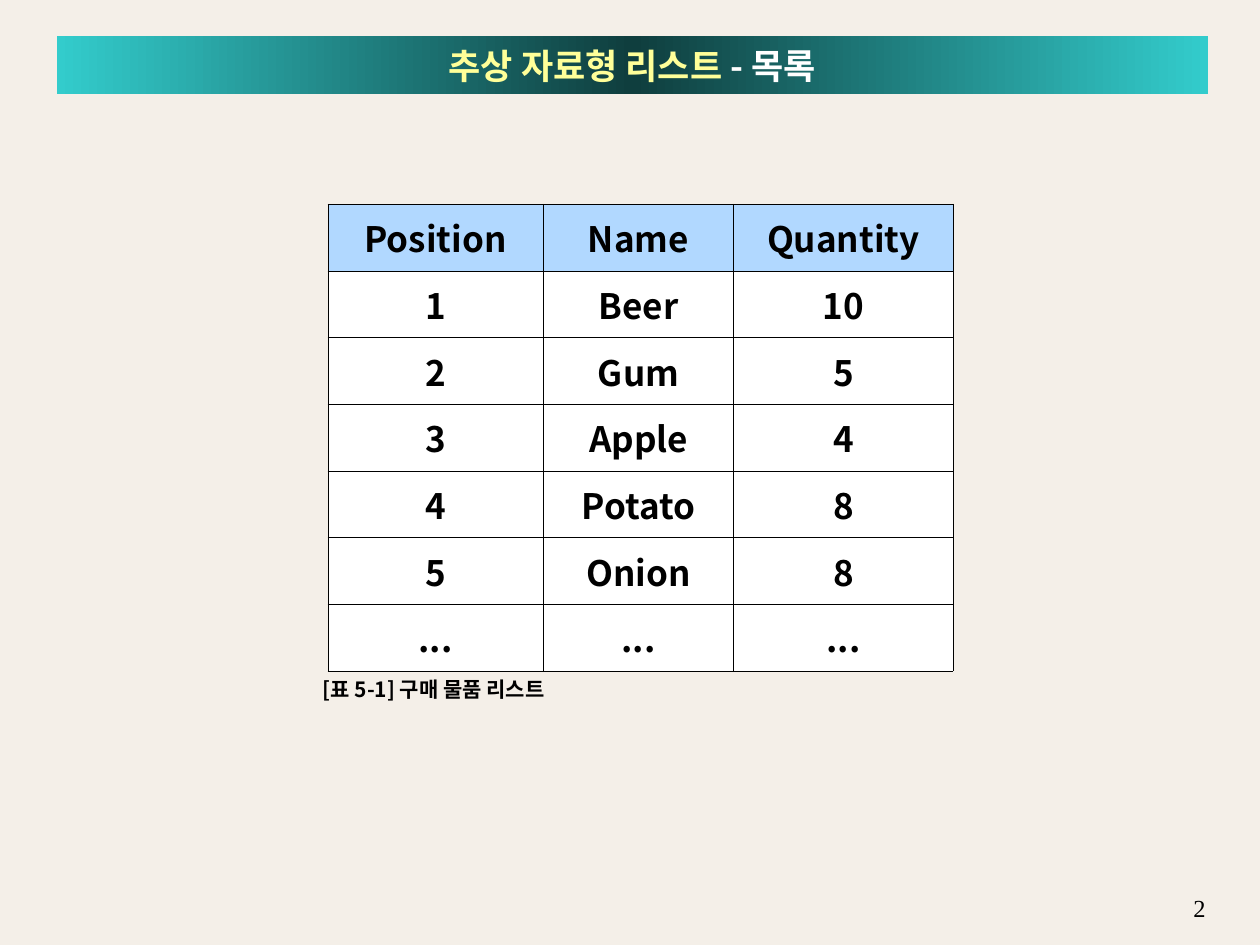
from copy import deepcopy
from dataclasses import dataclass

from lxml.etree import SubElement
from pptx import Presentation
from pptx.dml.color import RGBColor
from pptx.enum.text import MSO_ANCHOR, MSO_AUTO_SIZE, PP_ALIGN
from pptx.oxml import parse_xml
from pptx.oxml.ns import nsdecls, qn
from pptx.util import Pt


@dataclass(frozen=True)
class Theme:
    sans: str = "Noto Sans CJK KR"
    serif: str = "Times New Roman"
    page: str = "F4EFE8"
    ink: str = "000000"
    white: str = "FFFFFF"
    gold: str = "FFFF99"
    teal: str = "33CCCC"
    deep: str = "0F3E3E"
    head: str = "B1D8FF"
    large: int = 20
    small: int = 12
    number: int = 14


THEME = Theme()
ROWS = [
    ("Position", "Name", "Quantity"),
    ("1", "Beer", "10"),
    ("2", "Gum", "5"),
    ("3", "Apple", "4"),
    ("4", "Potato", "8"),
    ("5", "Onion", "8"),
    ("...", "...", "..."),
]
WIDTHS = (123.4, 108.6, 125.6)
ROW_HEIGHT = 38.1


def rgb(code):
    return RGBColor.from_string(code)


def apply(target, values):
    for name, value in values.items():
        setattr(target, name, value)


def place(shape, left, top, width, height):
    apply(shape, {"left": Pt(left), "top": Pt(top),
                  "width": Pt(width), "height": Pt(height)})


def add_run(para, text, size, color=THEME.ink, face=THEME.sans, bold=True):
    """Add a run whose face covers Latin and Korean letters alike."""
    run = para.add_run()
    run.text = text
    apply(run.font, {"name": face, "size": Pt(size), "bold": bold})
    run.font.color.rgb = rgb(color)
    SubElement(run.font._element, qn("a:ea"), typeface=face)


def add_title(slide):
    title = slide.shapes.title
    place(title, 32.4, 20.5, 658, 33.5)
    title.fill.gradient()
    title.fill.gradient_angle = 0
    first, last = title.fill.gradient_stops
    first.color.rgb = last.color.rgb = rgb(THEME.teal)
    first.position, last.position = 0, 1
    first._gs.addnext(deepcopy(first._gs))
    middle = title.fill.gradient_stops[1]
    middle.position = 0.5
    middle.color.rgb = rgb(THEME.deep)

    frame = title.text_frame
    apply(frame, {"auto_size": MSO_AUTO_SIZE.NONE, "word_wrap": True,
                  "vertical_anchor": MSO_ANCHOR.MIDDLE})
    para = frame.paragraphs[0]
    para.alignment = PP_ALIGN.CENTER
    add_run(para, "추상 자료형 리스트 ", THEME.large, THEME.gold)
    add_run(para, "- 목록", THEME.large, THEME.white)


def add_text(slide, box, text, size, align=PP_ALIGN.LEFT, inset=7.2, **style):
    frame = slide.shapes.add_textbox(*map(Pt, box)).text_frame
    apply(frame, {"word_wrap": True, "margin_left": Pt(inset)})
    para = frame.paragraphs[0]
    para.alignment = align
    add_run(para, text, size, **style)


def add_border(cell):
    props = cell._tc.get_or_add_tcPr()
    for index, side in enumerate("LRTB"):
        props.insert(index, parse_xml(
            f'<a:ln{side} {nsdecls("a")} w="762"><a:solidFill>'
            f'<a:srgbClr val="{THEME.ink}"/></a:solidFill></a:ln{side}>'))


def fill_cell(cell, text, color):
    cell.fill.solid()
    cell.fill.fore_color.rgb = rgb(color)
    cell.vertical_anchor = MSO_ANCHOR.MIDDLE
    para = cell.text_frame.paragraphs[0]
    para.alignment = PP_ALIGN.CENTER
    add_run(para, text, THEME.large)
    add_border(cell)


def add_list(slide):
    box = (187.2, 116.6, sum(WIDTHS), ROW_HEIGHT * len(ROWS))
    table = slide.shapes.add_table(
        len(ROWS), len(WIDTHS), *map(Pt, box)).table
    for column, width in zip(table.columns, WIDTHS):
        column.width = Pt(width)
    for r, row in enumerate(ROWS):
        table.rows[r].height = Pt(ROW_HEIGHT)
        for c, text in enumerate(row):
            fill_cell(table.cell(r, c), text, THEME.white if r else THEME.head)


def main():
    deck = Presentation()
    apply(deck, {"slide_width": Pt(720), "slide_height": Pt(540)})
    slide = deck.slides.add_slide(deck.slide_layouts.get_by_name("Title Only"))
    slide.background.fill.solid()
    slide.background.fill.fore_color.rgb = rgb(THEME.page)
    add_text(slide, (666, 507, 30, 12), "2", THEME.number, PP_ALIGN.RIGHT,
             face=THEME.serif, bold=False)
    add_title(slide)
    add_text(slide, (184.4, 383, 209.5, 21.6), "[표 5-1] 구매 물품 리스트",
             THEME.small, inset=0)
    add_list(slide)
    deck.save("out.pptx")


if __name__ == "__main__":
    main()
